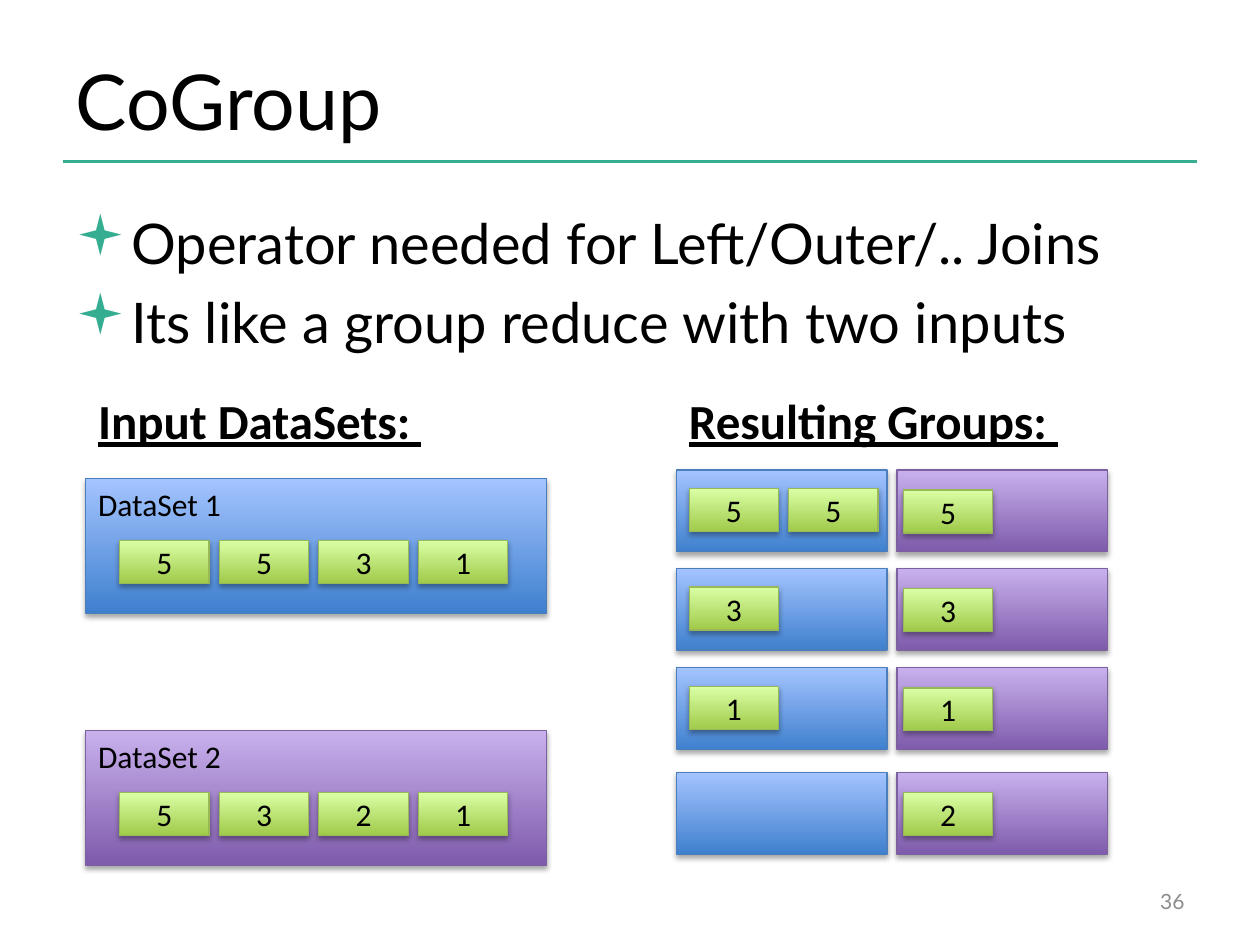
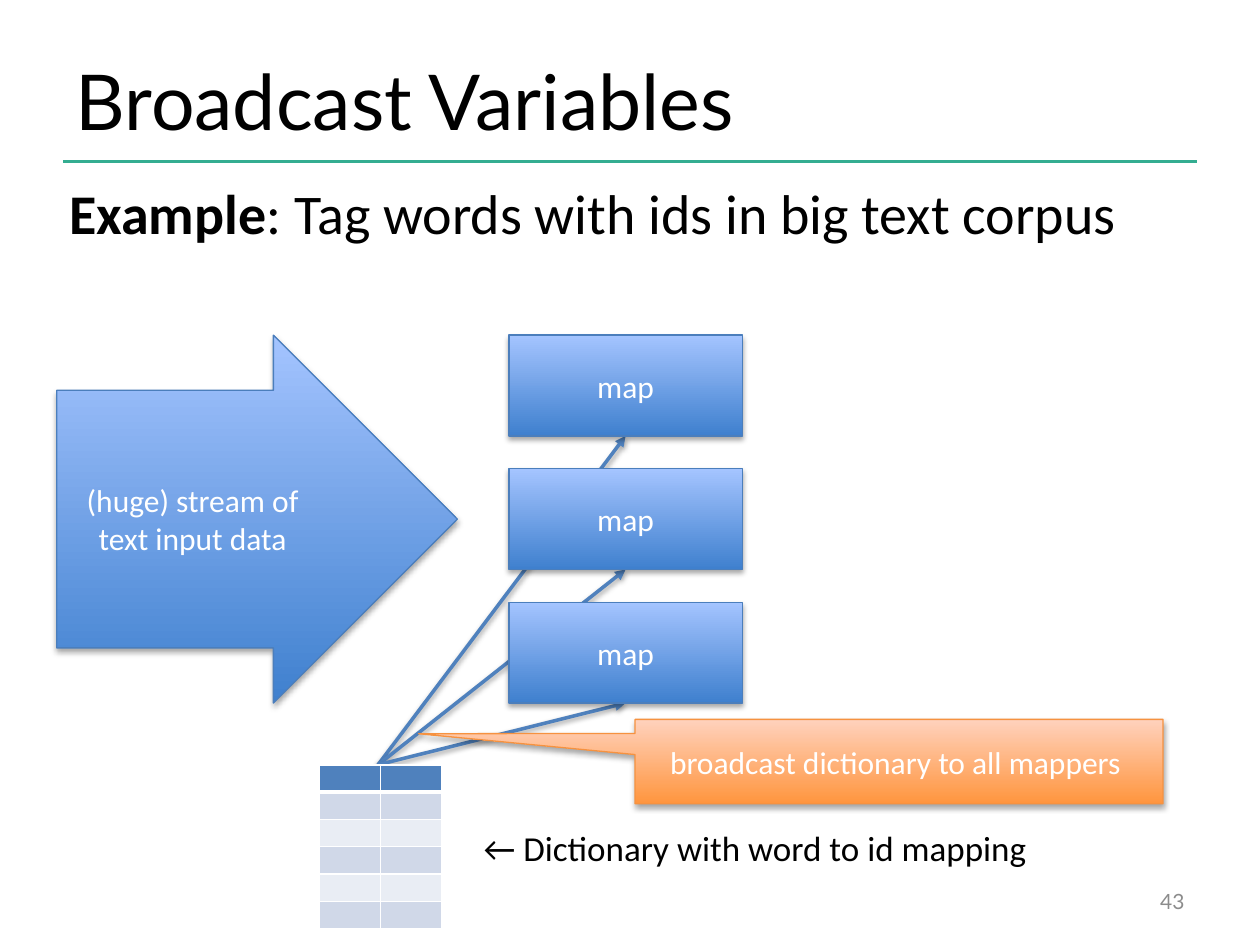
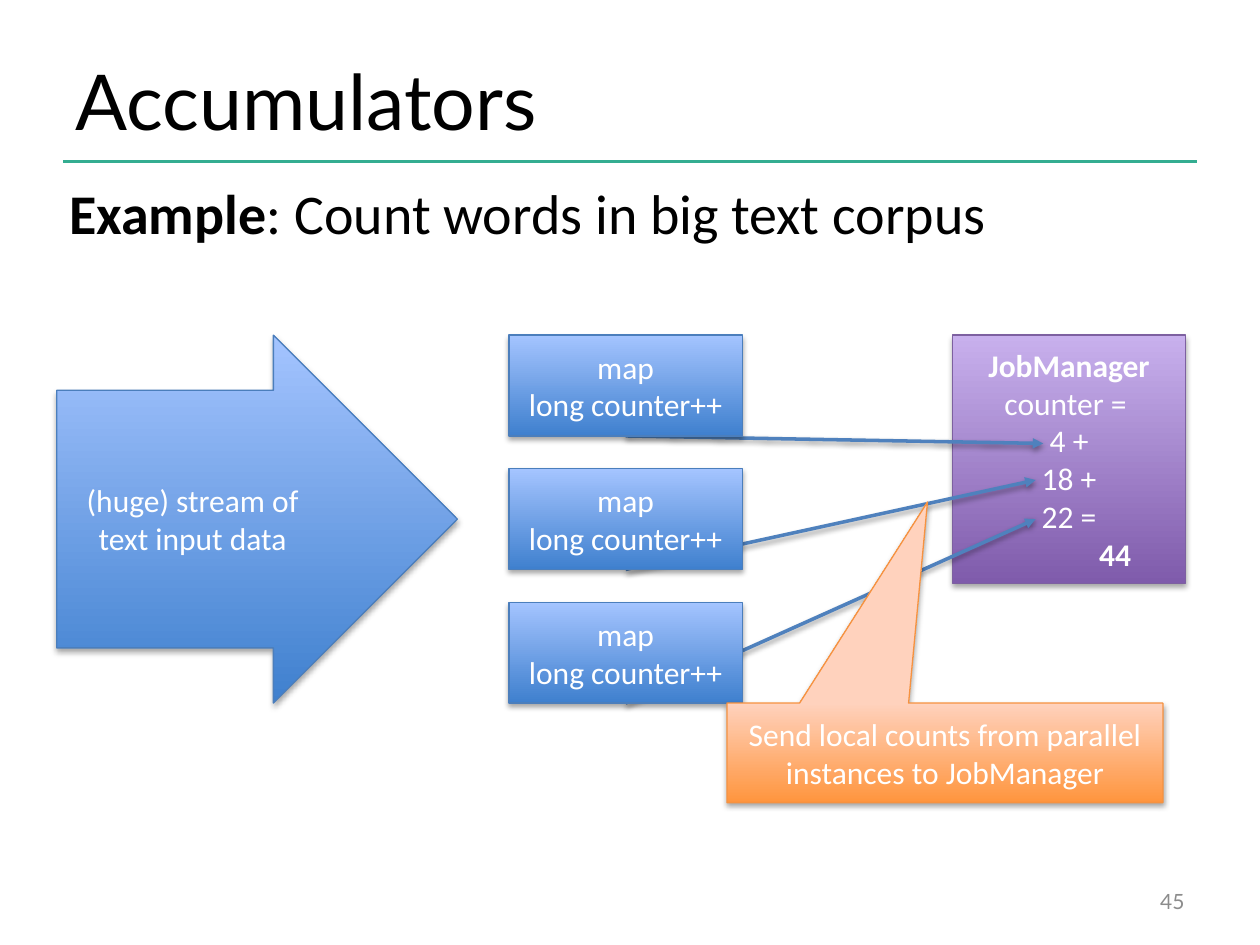
from dataclasses import dataclass

from lxml import etree
from pptx import Presentation
from pptx.dml.color import RGBColor
from pptx.enum.shapes import MSO_CONNECTOR, MSO_SHAPE
from pptx.enum.text import MSO_ANCHOR, PP_ALIGN
from pptx.oxml.ns import qn
from pptx.util import Pt

PX = 9144
RECT = MSO_SHAPE.RECTANGLE
STEP = MSO_SHAPE.FLOWCHART_PROCESS
ARROW = MSO_SHAPE.RIGHT_ARROW
CALL = MSO_SHAPE.RECTANGULAR_CALLOUT
STRAIGHT = MSO_CONNECTOR.STRAIGHT
MIDDLE = MSO_ANCHOR.MIDDLE
TOP = MSO_ANCHOR.TOP
LEFT, CENTER, RIGHT = PP_ALIGN.LEFT, PP_ALIGN.CENTER, PP_ALIGN.RIGHT
BOTTOM = 2


@dataclass(frozen=True)
class Theme:
    """Colours, fonts and type sizes; a skin is bottom, top and line colour."""
    blue: tuple = ("3F80CE", "A4C4FF", "4B7EBC")
    purple: tuple = ("7F5BAB", "C8B0ED", "7D60A0")
    green: tuple = ("A0CA4A", "DAFFA5", "98B955")
    orange: tuple = ("FF953E", "FFD2BD", "F69240")
    head: str = "4F81BD"
    bands: tuple = ("E9EDF4", "D0D8E8")
    mint: str = "34AD91"
    black: str = "000000"
    white: str = "FFFFFF"
    gray: str = "8C8C8C"
    lato: str = "Lato"
    sans: str = "Calibri"
    title: int = 44
    body: int = 32
    label: int = 28
    note: int = 20
    text: int = 18
    foot: int = 12


T = Theme()


def emu(*sizes):
    """Turn px lengths into EMU."""
    return [size * PX for size in sizes]


def rgb(code):
    """Make a colour from its hex code."""
    return RGBColor.from_string(code)


def node(parent, tag, **attrs):
    """Append a drawing element with its attributes."""
    return etree.SubElement(parent, qn(tag), {k: str(v) for k, v in attrs.items()})


def write(frame, paras, size, color, font=T.sans, align=LEFT, anchor=TOP):
    """Fill a frame; each paragraph is a list of (text, style) runs."""
    frame.word_wrap = True
    frame.vertical_anchor = anchor
    for i, runs in enumerate(paras):
        para = frame.paragraphs[0] if i == 0 else frame.add_paragraph()
        para.alignment = align
        for text, style in runs:
            run = para.add_run()
            run.text = text
            run.font.name = font
            run.font.size = Pt(size)
            run.font.color.rgb = rgb(color)
            run.font.bold = "b" in style
            run.font.underline = "u" in style


def plain(*lines):
    """Make one unstyled paragraph per line."""
    return [[(line, "")] for line in lines]


def label(shapes, at, paras, size, color=T.black, **look):
    """Add a text box."""
    frame = shapes.add_textbox(*emu(*at)).text_frame
    write(frame, paras, size, color, **look)
    return frame


def shade(effects, alpha, dist):
    """Add a soft shadow that falls downwards."""
    drop = node(effects, "a:outerShdw", blurRad=40000, dist=dist,
                dir=5400000, rotWithShape=0)
    node(node(drop, "a:srgbClr", val=T.black), "a:alpha", val=alpha * 1000)


def block(shapes, kind, at, skin, paras=(), color=T.white, adj=()):
    """Add a gradient shape with a shadow and centred text."""
    shape = shapes.add_shape(kind, *emu(*at))
    for i, value in enumerate(adj):
        shape.adjustments[i] = value
    shape.fill.gradient()
    shape.fill.gradient_angle = 90
    for stop, code in zip(shape.fill.gradient_stops, skin):
        stop.color.rgb = rgb(code)
    shape.line.color.rgb = rgb(skin[2])
    shape.line.width = Pt(0.75)
    shape.shadow.inherit = False
    shade(shape._element.spPr.find(qn("a:effectLst")), 35, 23000)
    write(shape.text_frame, paras, T.text, color, align=CENTER, anchor=MIDDLE)
    return shape


def rule(shapes, start, end, color):
    """Add a straight line and return it with its effect list."""
    line = shapes.add_connector(STRAIGHT, *emu(*start, *end))
    line.line.color.rgb = rgb(color)
    line.line.width = Pt(2)
    return line, node(line._element.spPr, "a:effectLst")


def arrow(shapes, start, end):
    """Add a line with an arrowhead and a shadow."""
    line, effects = rule(shapes, start, end, T.head)
    node(line.line._get_or_add_ln(), "a:tailEnd", type="triangle")
    shade(effects, 38, 20000)
    return line


def page(deck, title, number):
    """Add a slide with its title, rule and number."""
    slide = deck.slides.add_slide(deck.slide_layouts[5])
    rule(slide.shapes, (50, 128), (950, 128), T.mint)
    head = slide.shapes.title
    head.left, head.top, head.width, head.height = emu(50, 30, 817, 98)
    write(head.text_frame, plain(title), T.title, T.black, T.lato, anchor=MIDDLE)
    label(slide.shapes, (717, 695, 233, 40), plain(str(number)), T.foot, T.gray,
          font=T.lato, align=RIGHT, anchor=MIDDLE)
    return slide.shapes


def points(shapes, at, lines):
    """Add a list with square bullets."""
    frame = label(shapes, at, plain(*lines), T.body, font=T.lato)
    for i, para in enumerate(frame.paragraphs):
        props = para._p.get_or_add_pPr()
        props.set("marL", str(38 * PX))
        props.set("indent", str(-38 * PX))
        if i:
            para.space_before = Pt(6.4)
        node(node(props, "a:buClr"), "a:srgbClr", val=T.mint)
        node(props, "a:buFont", typeface="Wingdings")
        node(props, "a:buChar", char="▪")


def chip(shapes, x, y, value):
    """Add one green value."""
    block(shapes, RECT, (x, y, 71, 34), T.green, plain(value), T.black)


def chips(shapes, x, y, values):
    """Add a row of green values."""
    for i, value in enumerate(values):
        chip(shapes, x + 79 * i, y, value)


def dataset(shapes, y, name, skin, values):
    """Add a grouped data set with its values."""
    group = shapes.add_group_shape().shapes
    block(group, RECT, (68, y, 366, 107), skin)
    label(group, (68, y, 154, 40), plain(name), T.text)
    chips(group, 95, y + 49, values)


def grid(shapes, at, rows, cols):
    """Add an empty banded table with white borders."""
    table = shapes.add_table(rows, cols, *emu(*at)).table
    for r in range(rows):
        for c in range(cols):
            cell = table.cell(r, c)
            cell.margin_top = cell.margin_bottom = 0
            node(cell.text_frame.paragraphs[0]._p, "a:endParaRPr", sz=600)
            props = cell._tc.get_or_add_tcPr()
            thick = {"T": r == 1, "B": r == 0}
            for side in "LRTB":
                edge = node(props, "a:ln" + side, w=Pt(3 if thick.get(side) else 1))
                node(node(edge, "a:solidFill"), "a:srgbClr", val=T.white)
            cell.fill.solid()
            cell.fill.fore_color.rgb = rgb(T.bands[r % 2] if r else T.head)


def example(shapes, text):
    """Add the example line."""
    label(shapes, (45, 137, 879, 64), [[("Example", "b"), (": " + text, "")]], T.body)


def stream(shapes, *lines):
    """Add three mappers and the input arrow; return the mappers."""
    maps = [block(shapes, STEP, (404, 266 + 106 * i, 185, 80), T.blue, plain(*lines))
            for i in range(3)]
    block(shapes, ARROW, (45, 266, 318, 292), T.blue,
          plain("(huge) stream of text input data"), adj=(0.7, 0.5))
    return maps


def cogroup(deck):
    """Build the CoGroup slide."""
    shapes = page(deck, "CoGroup", 36)
    points(shapes, (50, 161, 900, 150),
           ["Operator needed for Left/Outer/.. Joins",
            "Its like a group reduce with two inputs"])
    for x, text in ((68, "Input DataSets: "), (537, "Resulting Groups: ")):
        label(shapes, (x, 305, 397, 57), [[(text, "bu")]], T.label)
    dataset(shapes, 380, "DataSet 1", T.blue, "5531")
    dataset(shapes, 580, "DataSet 2", T.purple, "5321")
    groups = ((373, "55", "5"), (451, "3", "3"), (530, "1", "1"), (613, "", "2"))
    for y, first, second in groups:
        block(shapes, RECT, (537, y, 167, 65), T.blue)
        block(shapes, RECT, (712, y, 167, 65), T.purple)
        chips(shapes, 547, y + 15, first)
        chips(shapes, 717, y + 16, second)


def broadcast(deck):
    """Build the Broadcast Variables slide."""
    shapes = page(deck, "Broadcast Variables", 43)
    lines = [arrow(shapes, (300, 607), (496, 346 + 106 * i)) for i in range(3)]
    for line, box in zip(lines, stream(shapes, "map")):
        line.end_connect(box, BOTTOM)
    example(shapes, "Tag words with ids in big text corpus")
    grid(shapes, (253, 607, 98, 130), 6, 2)
    label(shapes, (374, 651, 508, 44),
          plain("← Dictionary with word to id mapping"), T.note)
    block(shapes, CALL, (504, 571, 419, 67), T.orange,
          plain("broadcast dictionary to all mappers "), adj=(-0.91, -0.33))


def counters(deck):
    """Build the Accumulators slide."""
    shapes = page(deck, "Accumulators", 45)
    paras = [[("JobManager", "b")], *plain("counter = ", "4 +", "18 +", "22 ="),
             [("44", "b")]]
    job = block(shapes, STEP, (756, 266, 185, 197), T.purple, paras)
    total = job.text_frame.paragraphs[-1]
    total._p.get_or_add_pPr().set("marL", str(73 * PX))
    ends = ((828, 352), (822, 381), (822, 412))
    lines = [arrow(shapes, (496, 346 + 106 * i), end) for i, end in enumerate(ends)]
    for line, box in zip(lines, stream(shapes, "map", "long counter++")):
        line.begin_connect(box, BOTTOM)
    example(shapes, "Count words in big text corpus")
    block(shapes, CALL, (577, 558, 346, 79), T.orange,
          plain("Send local counts from parallel instances to JobManager"),
          adj=(-0.04, -2.52))


def main():
    """Build and save the deck."""
    deck = Presentation()
    deck.slide_width, deck.slide_height = emu(1000, 750)
    cogroup(deck)
    broadcast(deck)
    counters(deck)
    deck.save("out.pptx")


if __name__ == "__main__":
    main()
